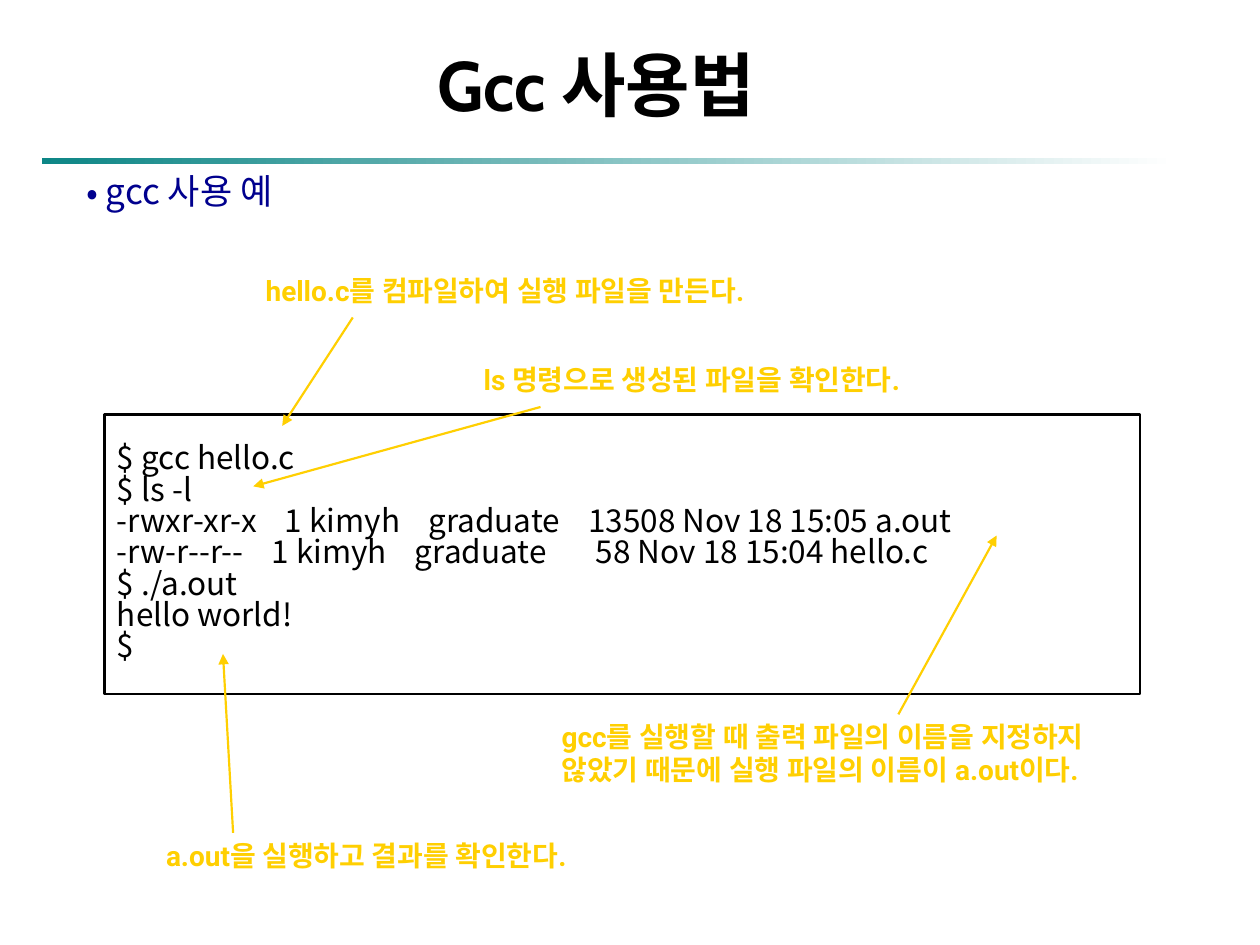
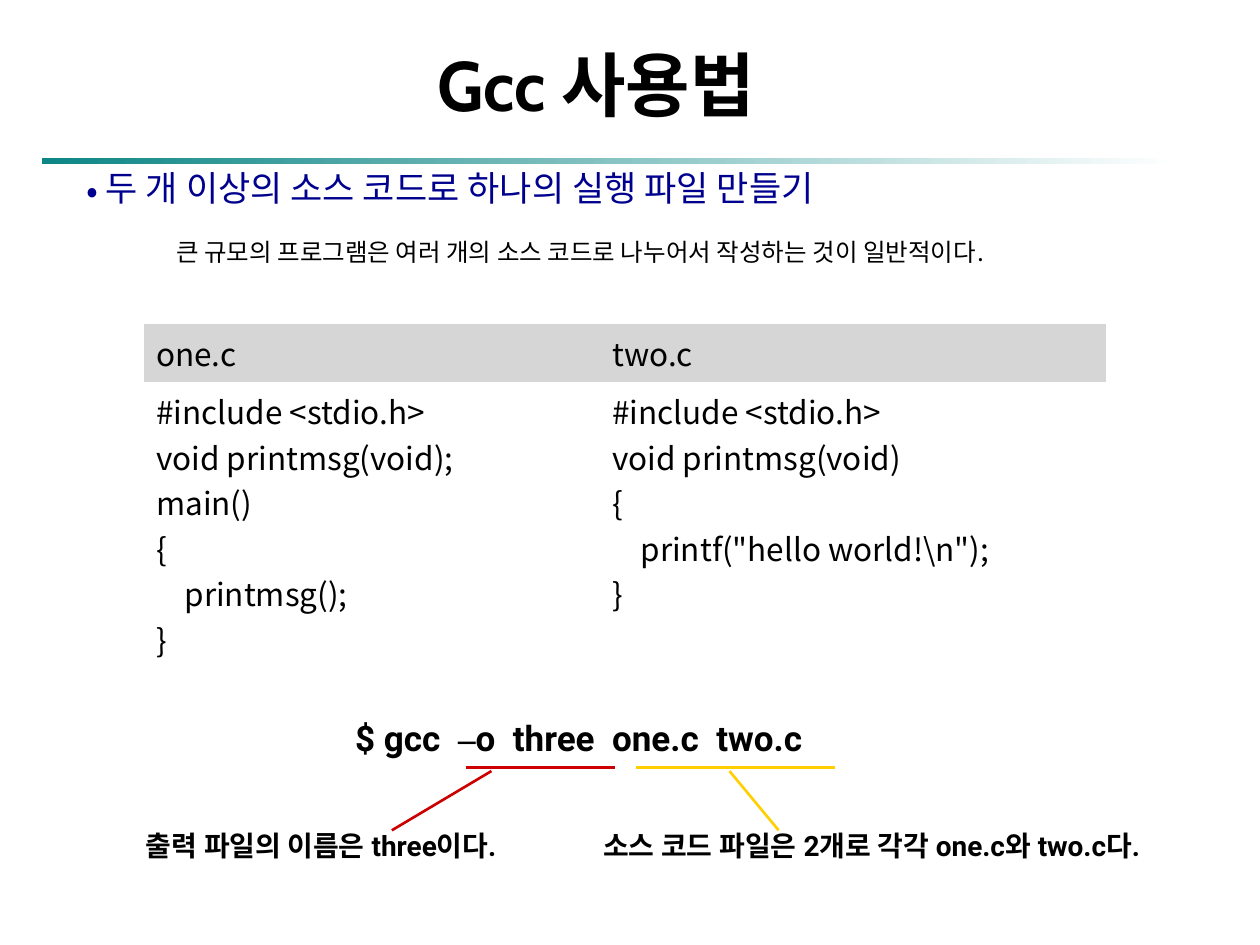
"""Build two slides on using gcc: a sample session and a two-file compile."""
import pptx
import pptx.dml.color
import pptx.enum.shapes
import pptx.enum.text
import pptx.oxml.ns
import pptx.oxml.xmlchemy
import pptx.util
from lxml import etree

PX = 9144
TEAL, WHITE, BLACK, NAVY = "0D8686", "FFFFFF", "000000", "00008E"
YELLOW, RED, GREY = "FFCF01", "CC0000", "D6D6D6"
TEXT_FONT, LABEL_FONT, TITLE_FONT = "Noto Sans CJK KR", "Roboto", "Cabin"
NO_GRID_STYLE = "{2D5ABB26-0587-4C30-8999-92F81FD0307C}"
qn = pptx.oxml.ns.qn


def rgb(value):
    """Return the colour for a hex string."""
    return pptx.dml.color.RGBColor.from_string(value)


def style(text_frame, size, font, color=BLACK, bold=False, spacing=None):
    """Format every run of a text frame in one way."""
    text_frame.word_wrap = True
    for paragraph in text_frame.paragraphs:
        paragraph.line_spacing = spacing
        for run in paragraph.runs:
            run.font.size = pptx.util.Pt(size)
            run.font.bold = bold
            run.font.color.rgb = rgb(color)
            run.font.name = font
            etree.SubElement(run.font._element, qn("a:ea")).set("typeface", font)


presentation = pptx.Presentation()
presentation.slide_width = 1000 * PX
presentation.slide_height = 750 * PX

slides = []
for topic, topic_top in [
    ("gcc 사용 예", 133),
    ("두 개 이상의 소스 코드로 하나의 실행 파일 만들기", 131),
]:
    slide = presentation.slides.add_slide(presentation.slide_layouts[1])
    slides.append(slide)

    band = slide.shapes.add_shape(
        pptx.enum.shapes.MSO_SHAPE.RECTANGLE, 33 * PX, 125 * PX, 900 * PX, 5 * PX)
    band.shadow.inherit = False
    band.line.fill.background()
    band.fill.gradient()
    band.fill.gradient_angle = 0
    for stop, color in zip(band.fill.gradient_stops, (TEAL, WHITE)):
        stop.color.rgb = rgb(color)

    title, body = slide.placeholders
    for placeholder, text, box in [
        (title, "Gcc 사용법", (20, 28, 906, 77)),
        (body, topic, (59, topic_top, 882, 39)),
    ]:
        placeholder.left, placeholder.top, placeholder.width, placeholder.height = (
            value * PX for value in box)
        placeholder.text_frame.text = text
        placeholder.text_frame.auto_size = pptx.enum.text.MSO_AUTO_SIZE.NONE
    style(title.text_frame, 40, TITLE_FONT, bold=True)

    paragraph = body.text_frame.paragraphs[0]
    paragraph.space_before = pptx.util.Pt(0)
    properties = paragraph._p.get_or_add_pPr()
    properties.set("marL", str(15 * PX))
    properties.set("indent", str(-15 * PX))
    etree.SubElement(properties, qn("a:buFont")).set("typeface", TEXT_FONT)
    etree.SubElement(properties, qn("a:buChar")).set("char", "•")
    style(body.text_frame, 20, TEXT_FONT, NAVY, spacing=0.9)

session_slide, compile_slide = slides

session = session_slide.shapes.add_shape(
    pptx.enum.shapes.MSO_SHAPE.RECTANGLE, 83 * PX, 329 * PX, 822 * PX, 222 * PX)
session.shadow.inherit = False
session.fill.background()
session.line.color.rgb = rgb(BLACK)
session.line.width = pptx.util.Pt(1.25)
session.text_frame.text = """$ gcc hello.c
$ ls -l
-rwxr-xr-x    1 kimyh    graduate    13508 Nov 18 15:05 a.out
-rw-r--r--    1 kimyh    graduate       58 Nov 18 15:04 hello.c
$ ./a.out
hello world!
$"""
for paragraph in session.text_frame.paragraphs:
    paragraph.alignment = pptx.enum.text.PP_ALIGN.LEFT
style(session.text_frame, 18, TEXT_FONT, spacing=0.83)

introduction = compile_slide.shapes.add_textbox(130 * PX, 186 * PX, 803 * PX, 47 * PX)
introduction.text_frame.text = (
    "큰 규모의 프로그램은 여러 개의 소스 코드로 나누어서 작성하는 것이 일반적이다.")
style(introduction.text_frame, 14, TEXT_FONT, spacing=0.9)

sources = {
    "one.c": """#include <stdio.h>
void printmsg(void);
main()
{
    printmsg();
}""",
    "two.c": """#include <stdio.h>
void printmsg(void)
{
    printf("hello world!\\n");
}""",
}
table = compile_slide.shapes.add_table(
    2, 2, 114 * PX, 257 * PX, 764 * PX, 274 * PX).table
table._tbl.tblPr.find(qn("a:tableStyleId")).text = NO_GRID_STYLE
table.first_row = False
table.horz_banding = False
table.rows[0].height, table.rows[1].height = 46 * PX, 228 * PX
table.columns[0].width, table.columns[1].width = 362 * PX, 402 * PX
for column, (file_name, code) in enumerate(sources.items()):
    header, listing = table.cell(0, column), table.cell(1, column)
    header.text_frame.text, listing.text_frame.text = file_name, code
    header.vertical_anchor = pptx.enum.text.MSO_ANCHOR.MIDDLE
    header.fill.solid()
    header.fill.fore_color.rgb = rgb(GREY)
    listing.fill.background()
    for cell in (header, listing):
        style(cell.text_frame, 18, TEXT_FONT)

command = compile_slide.shapes.add_textbox(272 * PX, 564 * PX, 403 * PX, 43 * PX)
for piece in ("$ gcc  ", "–", "o  three  one.c  two.c"):
    command.text_frame.paragraphs[0].add_run().text = piece
style(command.text_frame, 20, LABEL_FONT, bold=True)
command.text_frame.paragraphs[0].runs[1].font.name = "Times New Roman"

labels = [
    (session_slide, YELLOW, (201, 212, 431, 37), "hello.c를 컴파일하여 실행 파일을 만든다."),
    (session_slide, YELLOW, (374, 283, 379, 37), "ls 명령으로 생성된 파일을 확인한다."),
    (session_slide, YELLOW, (436, 566, 474, 64),
     "gcc를 실행할 때 출력 파일의 이름을 지정하지\n않았기 때문에 실행 파일의 이름이 a.out이다."),
    (session_slide, YELLOW, (122, 661, 364, 37), "a.out을 실행하고 결과를 확인한다."),
    (compile_slide, BLACK, (106, 653, 340, 37), "출력 파일의 이름은 three이다."),
    (compile_slide, BLACK, (469, 653, 510, 37),
     "소스 코드 파일은 2개로 각각 one.c와 two.c다."),
]
for slide, color, box, text in labels:
    label = slide.shapes.add_textbox(*(value * PX for value in box))
    label.text_frame.text = text
    style(label.text_frame, 16, LABEL_FONT, color, bold=True)

pointers = [
    (session_slide, YELLOW, (280, 252, 224, 338)),
    (session_slide, YELLOW, (429, 323, 201, 386)),
    (session_slide, YELLOW, (713, 567, 791, 425)),
    (session_slide, YELLOW, (185, 661, 177, 519)),
    (compile_slide, RED, (370, 609, 488, 609)),
    (compile_slide, YELLOW, (505, 609, 663, 609)),
    (compile_slide, RED, (390, 612, 311, 659)),
    (compile_slide, YELLOW, (579, 612, 618, 659)),
]
for slide, color, ends in pointers:
    pointer = slide.shapes.add_connector(
        pptx.enum.shapes.MSO_CONNECTOR.STRAIGHT, *(value * PX for value in ends))
    pointer.line.color.rgb = rgb(color)
    pointer.line.width = pptx.util.Pt(1.5)
    if slide is session_slide:
        pointer.line.width = pptx.util.Pt(1.25)
        outline = pointer.line._get_or_add_ln()
        etree.SubElement(outline, qn("a:tailEnd")).set("type", "triangle")
    etree.SubElement(pointer._element.spPr, qn("a:effectLst"))

presentation.save("out.pptx")
